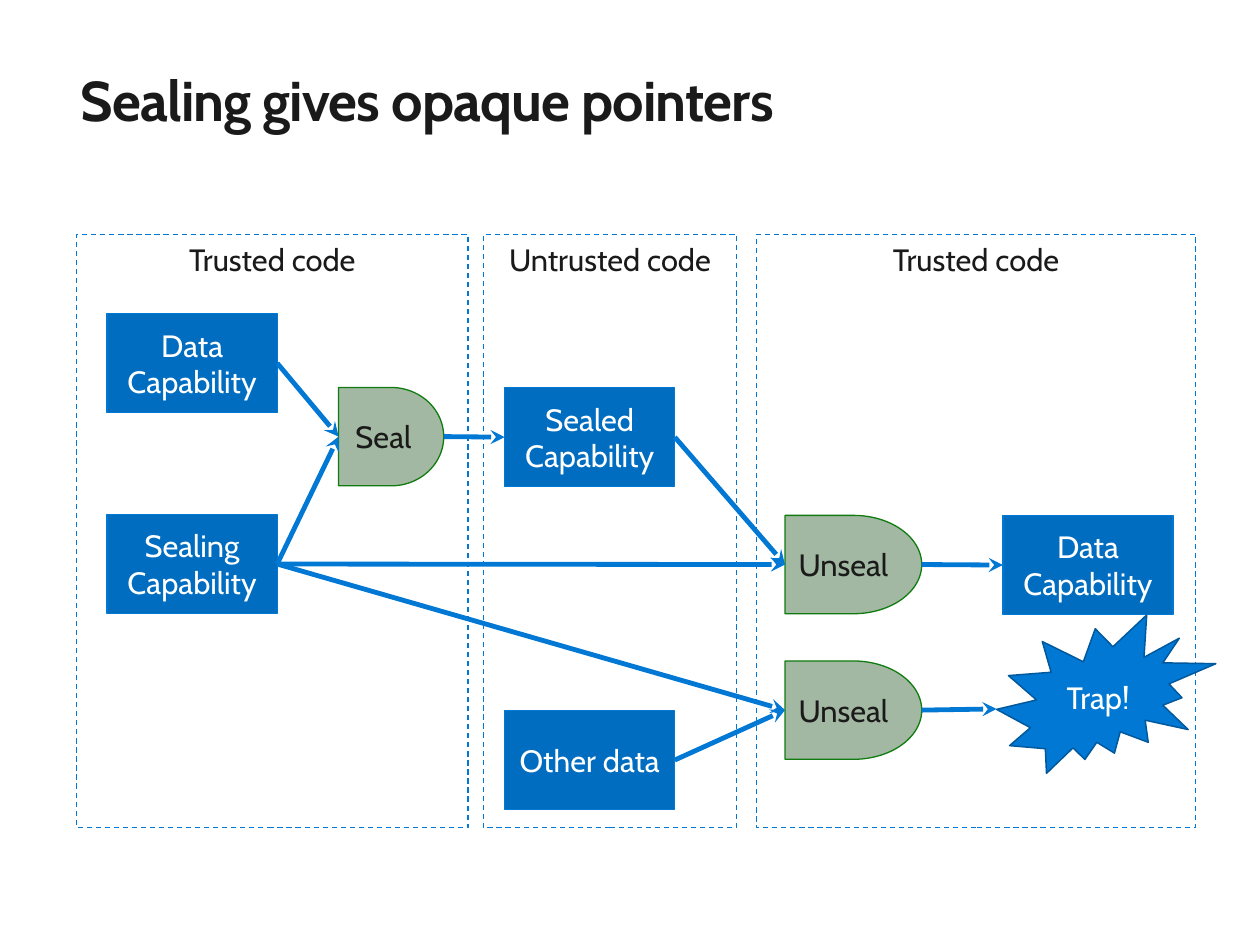
"""Build the slide that explains sealed capabilities as opaque pointers."""
import pptx
import pptx.dml.color
import pptx.enum.dml
import pptx.enum.shapes
import pptx.enum.text
import pptx.oxml
import pptx.oxml.ns
import pptx.util

Pt = pptx.util.Pt
SHAPE = pptx.enum.shapes.MSO_SHAPE
ANCHOR = pptx.enum.text.MSO_ANCHOR
ALIGN = pptx.enum.text.PP_ALIGN
DASH = pptx.enum.dml.MSO_LINE

COLORS = {
    "ink": "1A1A1A", "white": "FFFFFF", "blue": "0078D4", "box": "006DC0",
    "gate": "A2B8A2", "green": "107C10", "navy": "00599D",
}
FONT = "Cabin"
TITLE = "Sealing gives opaque pointers"
TITLE_AREA = (46.1, 37.4, 627.8, 38.9)
ZONE_TOP, ZONE_HEIGHT = 133.9, 339.1
BOX_SIZE = (97.2, 56.6)
GATE_HEIGHT = 56.2
LEFT_COLUMN, MIDDLE_COLUMN, RIGHT_COLUMN = 61.2, 288.4, 573.1
UNSEAL_LEFT, UNSEAL_WIDTH = 448.6, 78.1

ZONES = [("Trusted code", 43.9, 223.6), ("Untrusted code", 276.2, 144.7),
         ("Trusted code", 432.3, 250.9)]
BOXES = {
    "data": ("Data\nCapability", LEFT_COLUMN, 179.2),
    "sealing": ("Sealing Capability", LEFT_COLUMN, 294),
    "sealed": ("Sealed Capability", MIDDLE_COLUMN, 221.5),
    "other": ("Other data", MIDDLE_COLUMN, 406),
    "unsealed": ("Data\nCapability", RIGHT_COLUMN, 294.6),
}
GATES = {
    "seal": ("Seal", 193.5, 221.4, 60.1),
    "unseal": ("Unseal", UNSEAL_LEFT, 294.5, UNSEAL_WIDTH),
    "refuse": ("Unseal", UNSEAL_LEFT, 377.7, UNSEAL_WIDTH),
}
TRAP = ("Trap!", (569.5, 351.4, 125.3, 90.5))
TRAP_TIP_Y = 405.1
ARROWS = [
    ("sealing", "seal"), ("data", "seal"), ("seal", "sealed"),
    ("sealing", "unseal"), ("sealed", "unseal"), ("unseal", "unsealed"),
    ("sealing", "refuse"), ("other", "refuse"), ("refuse", "trap"),
]
LEFT_SITE, RIGHT_SITE = 1, 3

STYLES = {
    "zone": {"kind": SHAPE.RECTANGLE, "fill": None, "line": "blue", "text": "ink",
             "stroke": {"width": Pt(0.75), "dash_style": DASH.DASH},
             "frame": {"vertical_anchor": ANCHOR.TOP, "word_wrap": True}},
    "box": {"kind": SHAPE.RECTANGLE, "fill": "box", "line": "blue", "text": "white",
            "stroke": {"width": Pt(0.75)},
            "frame": {"vertical_anchor": ANCHOR.MIDDLE, "word_wrap": True}},
    "gate": {"kind": SHAPE.FLOWCHART_DELAY, "fill": "gate", "line": "green", "text": "ink",
             "stroke": {"width": Pt(0.75)},
             "frame": {"vertical_anchor": ANCHOR.MIDDLE, "word_wrap": False}},
    "trap": {"kind": SHAPE.EXPLOSION2, "fill": "blue", "line": "navy", "text": "white",
             "stroke": {"width": Pt(0.85)},
             "frame": {"vertical_anchor": ANCHOR.MIDDLE, "word_wrap": False}},
}


def apply(target, values):
    for name, value in values.items():
        setattr(target, name, value)


def rgb(name):
    return pptx.dml.color.RGBColor.from_string(COLORS[name])


def write(frame, text, color, align, font):
    frame.text = text
    for para in frame.paragraphs:
        para.alignment = align
        for span in para.runs:
            apply(span.font, {"name": FONT, **font})
            span.font.color.rgb = rgb(color)


def add_title(page):
    title = page.shapes.title
    apply(title, dict(zip(("left", "top", "width", "height"), map(Pt, TITLE_AREA))))
    frame = title.text_frame
    margins = dict.fromkeys(("margin_left", "margin_top", "margin_right", "margin_bottom"), 0)
    apply(frame, {**margins, "vertical_anchor": ANCHOR.TOP, "word_wrap": True,
                  "auto_size": pptx.enum.text.MSO_AUTO_SIZE.SHAPE_TO_FIT_TEXT})
    write(frame, TITLE, "ink", ALIGN.LEFT, {"size": Pt(32), "bold": True})
    frame.paragraphs[0].runs[0].font._element.set("spc", "-50")


def add_part(page, style_name, text, area):
    style = STYLES[style_name]
    shape = page.shapes.add_shape(style["kind"], *map(Pt, area))
    shape.shadow.inherit = False
    if style["fill"]:
        shape.fill.solid()
        shape.fill.fore_color.rgb = rgb(style["fill"])
    else:
        shape.fill.background()
    shape.line.color.rgb = rgb(style["line"])
    apply(shape.line, style["stroke"])
    apply(shape.text_frame, style["frame"])
    write(shape.text_frame, text, style["text"], ALIGN.CENTER, {"size": Pt(17.6)})
    return shape


def add_arrow(page, source, target):
    arrow = page.shapes.add_connector(pptx.enum.shapes.MSO_CONNECTOR.STRAIGHT, 0, 0, 0, 0)
    arrow.begin_connect(source, RIGHT_SITE)
    arrow.end_connect(target, LEFT_SITE)
    arrow.line.color.rgb = rgb("blue")
    arrow.line.width = Pt(2.75)
    tail = pptx.oxml.parse_xml(
        f'<a:tailEnd {pptx.oxml.ns.nsdecls("a")} type="stealth"/>')
    arrow.line._get_or_add_ln().append(tail)
    effects = pptx.oxml.parse_xml(f'<a:effectLst {pptx.oxml.ns.nsdecls("a")}/>')
    arrow._element.spPr.append(effects)
    return arrow


def main():
    deck = pptx.Presentation()
    apply(deck, {"slide_width": Pt(720), "slide_height": Pt(540)})
    page = deck.slides.add_slide(deck.slide_layouts[5])
    add_title(page)
    for text, left, width in ZONES:
        add_part(page, "zone", text, (left, ZONE_TOP, width, ZONE_HEIGHT))
    parts = {}
    for name, (text, left, top) in BOXES.items():
        parts[name] = add_part(page, "box", text, (left, top, *BOX_SIZE))
    for name, (text, left, top, width) in GATES.items():
        parts[name] = add_part(page, "gate", text, (left, top, width, GATE_HEIGHT))
    parts["trap"] = add_part(page, "trap", *TRAP)
    for source, target in ARROWS:
        arrow = add_arrow(page, parts[source], parts[target])
        if target == "trap":
            arrow.end_y = Pt(TRAP_TIP_Y)
    deck.save("out.pptx")


if __name__ == "__main__":
    main()
